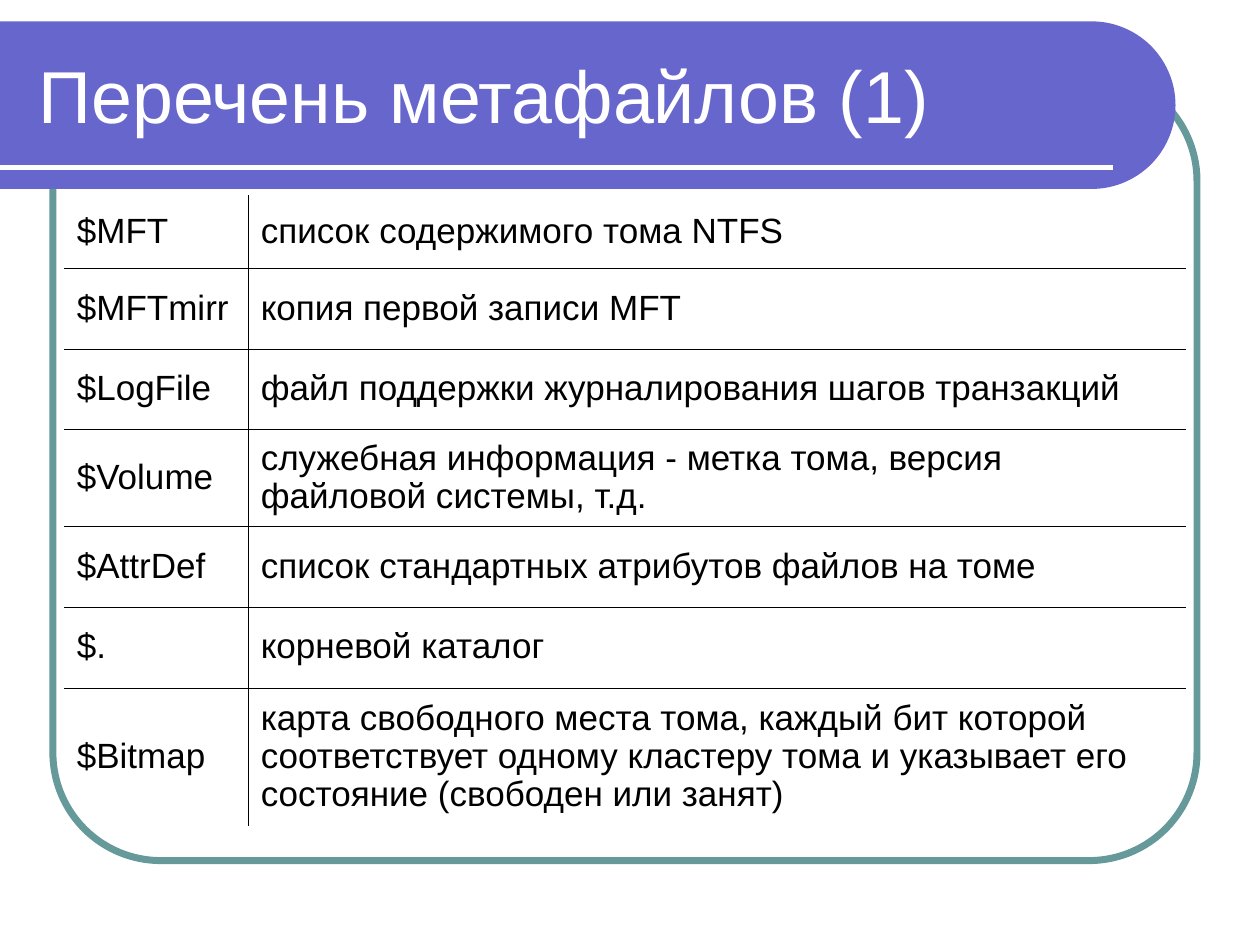
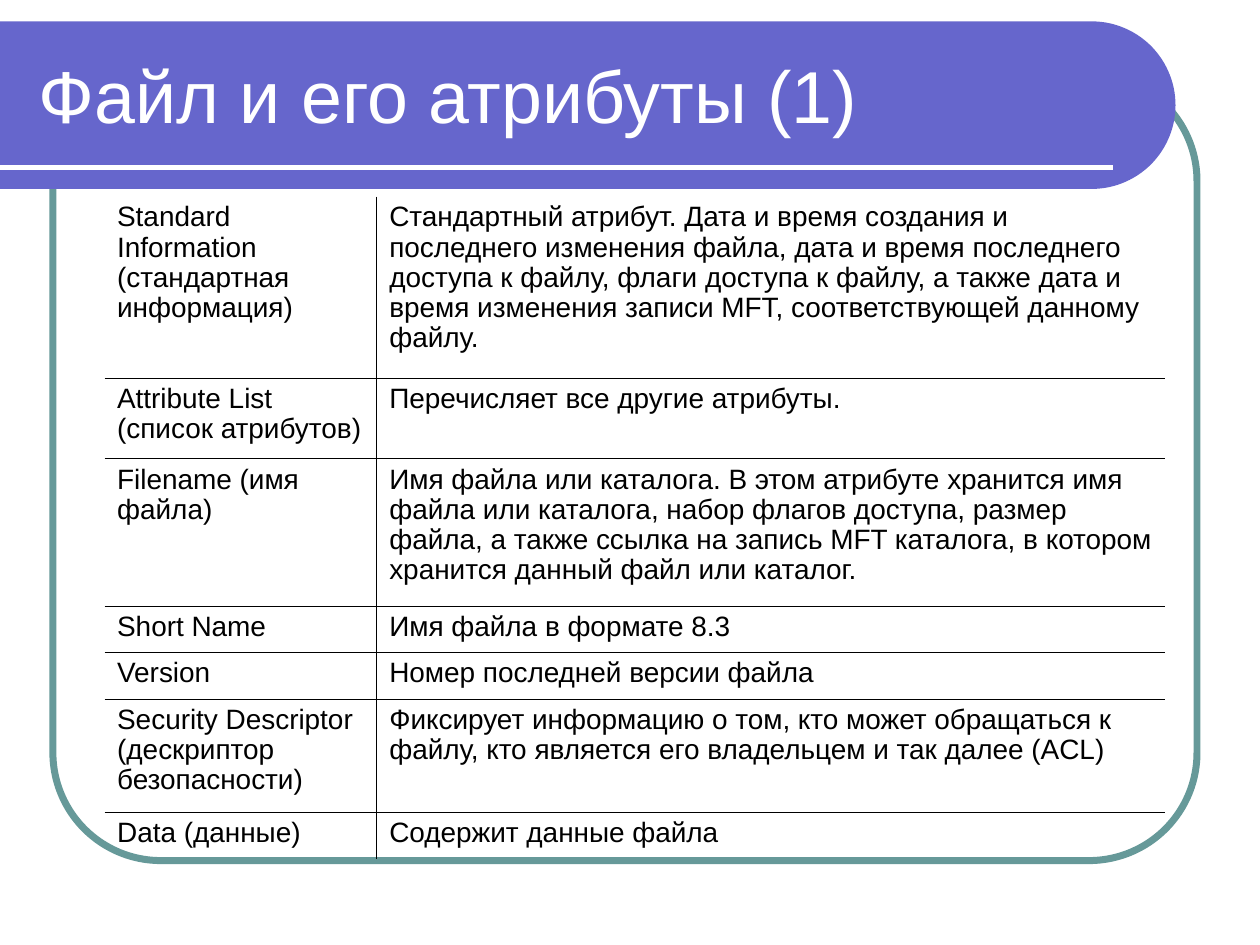
from math import cos, sin, radians
from lxml.etree import SubElement
from pptx import Presentation
from pptx.dml.color import RGBColor
from pptx.enum.shapes import MSO_CONNECTOR, MSO_SHAPE
from pptx.enum.text import MSO_ANCHOR
from pptx.oxml.ns import qn
from pptx.util import Inches, Pt

FONT = "Arial"
COLORS = {"band": "6666CC", "frame": "669999", "white": "FFFFFF", "ink": "000000"}

METAFILES = [
    ("$MFT", "список содержимого тома NTFS", 0.58),
    ("$MFTmirr", "копия первой записи MFT", 0.64),
    ("$LogFile", "файл поддержки журналирования шагов транзакций", 0.64),
    ("$Volume", "служебная информация - метка тома, версия файловой системы, т.д.", 0.77),
    ("$AttrDef", "список стандартных атрибутов файлов на томе", 0.64),
    ("$.", "корневой каталог", 0.64),
    ("$Bitmap", "карта свободного места тома, каждый бит которой соответствует "
     "одному кластеру тома и указывает его состояние (свободен или занят)", 1.1),
]

ATTRIBUTES = [
    ("Standard Information (стандартная информация)",
     "Стандартный атрибут. Дата и время создания и последнего изменения файла, "
     "дата и время последнего доступа к файлу, флаги доступа к файлу, а также "
     "дата и время изменения записи MFT, соответствующей данному файлу.", 1.44),
    ("Attribute List (список атрибутов)", "Перечисляет все другие атрибуты.", 0.64),
    ("Filename (имя файла)",
     "Имя файла или каталога. В этом атрибуте хранится имя файла или каталога, "
     "набор флагов доступа, размер файла, а также ссылка на запись MFT каталога, "
     "в котором хранится данный файл или каталог.", 1.17),
    ("Short Name", "Имя файла в формате 8.3", 0.37),
    ("Version", "Номер последней версии файла", 0.37),
    ("Security Descriptor (дескриптор безопасности)",
     "Фиксирует информацию о том, кто может обращаться к файлу, кто является "
     "его владельцем и так далее (ACL)", 0.9),
    ("Data (данные)", "Содержит данные файла", 0.37),
]


def color(name):
    return RGBColor.from_string(COLORS[name])


def style(para, size, name):
    for run in para.runs:
        run.font.name = FONT
        run.font.size = Pt(size)
        run.font.color.rgb = color(name)


def add_frame(slide, box):
    frame = slide.shapes.add_shape(MSO_SHAPE.ROUNDED_RECTANGLE, *map(Inches, box))
    frame.adjustments[0] = 0.137
    frame.shadow.inherit = False
    frame.fill.background()
    frame.line.color.rgb = color("frame")
    frame.line.width = Pt(4)


def add_band(slide, box):
    left, top, width, height = box
    radius = height / 2
    mid = left + width - radius
    arc = [(Inches(mid + radius * cos(radians(a))),
            Inches(top + radius + radius * sin(radians(a)))) for a in range(-90, 91, 3)]
    pen = slide.shapes.build_freeform(Inches(left), Inches(top))
    pen.add_line_segments(arc + [(Inches(left), Inches(top + height))], close=True)
    band = pen.convert_to_shape()
    band.shadow.inherit = False
    band.fill.solid()
    band.fill.fore_color.rgb = color("band")
    band.line.fill.background()

    y = Inches(top + 1.16)
    rule = slide.shapes.add_connector(
        MSO_CONNECTOR.STRAIGHT, Inches(left), y, Inches(left + width - 0.5), y)
    rule.line.color.rgb = color("white")
    rule.line.width = Pt(3)
    SubElement(rule._element.spPr, qn("a:effectLst"))


def add_title(slide, box, text):
    frame = slide.shapes.add_textbox(*map(Inches, box)).text_frame
    frame.word_wrap = True
    frame.vertical_anchor = MSO_ANCHOR.MIDDLE
    frame.text = text
    style(frame.paragraphs[0], 42, "white")


def set_border(cell, side, weight):
    props = cell._tc.get_or_add_tcPr()
    line = SubElement(props, qn(f"a:ln{side}"), w=str(Pt(weight)))
    if weight:
        fill = SubElement(line, qn("a:solidFill"))
        SubElement(fill, qn("a:srgbClr"), val=COLORS["ink"])
    else:
        SubElement(line, qn("a:noFill"))


def add_grid(slide, left, top, widths, rows, size, weight, anchor):
    high = sum(row[-1] for row in rows)
    table = slide.shapes.add_table(
        len(rows), len(widths), *map(Inches, (left, top, sum(widths), high))).table
    table.first_row = table.horz_banding = False
    for col, width in zip(table.columns, widths):
        col.width = Inches(width)
    for r, (*texts, height) in enumerate(rows):
        table.rows[r].height = Inches(height)
        for c, text in enumerate(texts):
            cell = table.cell(r, c)
            inner = {"L": c > 0, "R": c < len(widths) - 1,
                     "T": r > 0, "B": r < len(rows) - 1}
            for side, shown in inner.items():
                set_border(cell, side, weight if shown else 0)
            cell.fill.background()
            cell.vertical_anchor = anchor
            cell.text_frame.text = text
            para = cell.text_frame.paragraphs[0]
            para.line_spacing = 0.97
            style(para, size, "ink")


def add_page(deck, title, **grid):
    slide = deck.slides.add_slide(deck.slide_layouts[6])
    add_frame(slide, (0.42, 0.58, 9.08, 6.25))
    add_band(slide, (0, 0.17, 9.33, 1.33))
    add_title(slide, (0.21, 0.25, 8.77, 1), title)
    add_grid(slide, **grid)


def main():
    deck = Presentation()
    deck.slide_width, deck.slide_height = Inches(10), Inches(7.5)
    add_page(deck, "Перечень метафайлов (1)", left=0.51, top=1.55, widths=(1.46, 7.44),
             rows=METAFILES, size=20, weight=0.34, anchor=MSO_ANCHOR.MIDDLE)
    add_page(deck, "Файл и его атрибуты (1)", left=0.83, top=1.56, widths=(2.16, 6.26),
             rows=ATTRIBUTES, size=16, weight=0.45, anchor=MSO_ANCHOR.TOP)
    deck.save("out.pptx")


if __name__ == "__main__":
    main()
